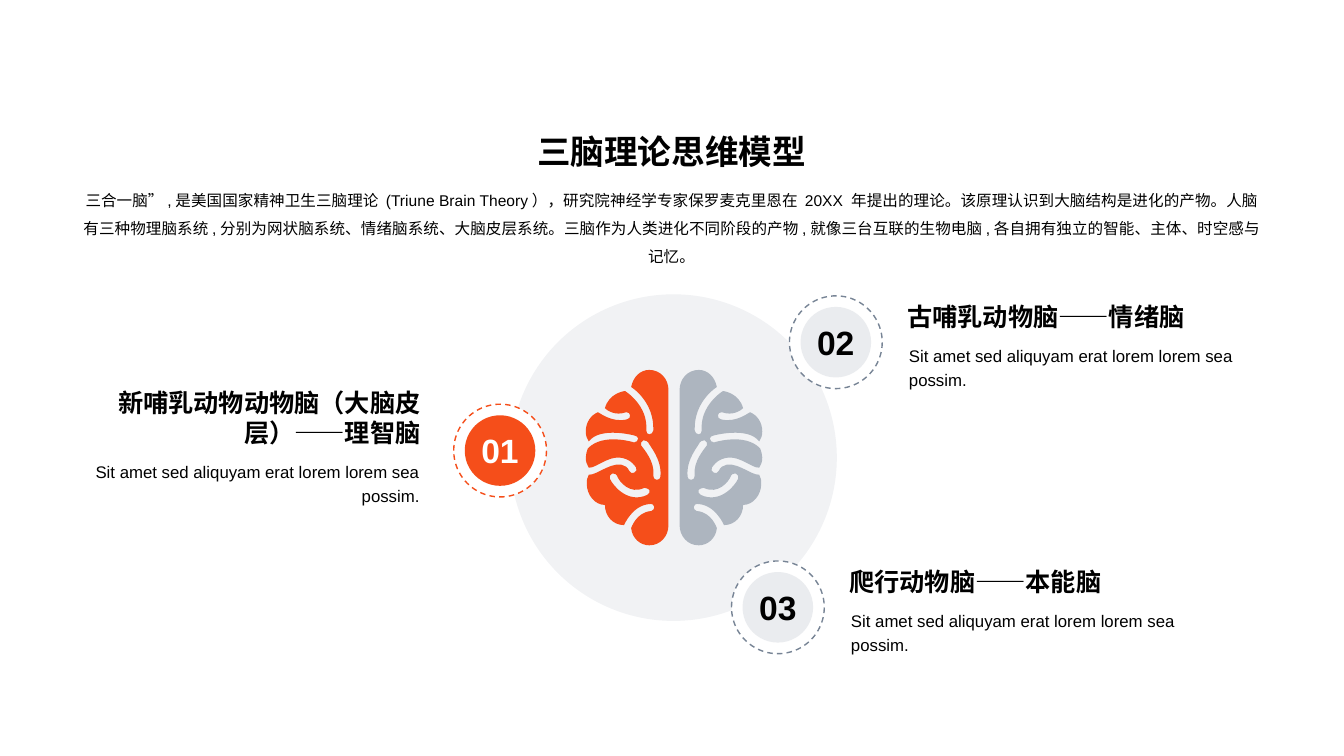
"""Builds the slide on the triune brain model: a split brain with three numbered topics."""
import lxml.etree
import pptx
import pptx.dml.color
import pptx.enum.dml
import pptx.enum.lang
import pptx.enum.shapes
import pptx.enum.text
import pptx.oxml.ns
import pptx.util
from dataclasses import dataclass

Align = pptx.enum.text.PP_ALIGN
Anchor = pptx.enum.text.MSO_ANCHOR


@dataclass(frozen=True)
class Theme:
    font: str = "Arial"
    ink: str = "000000"
    paper: str = "FFFFFF"
    accent: str = "F54E1A"
    slate: str = "778495"
    quiet_half: str = "ADB5BF"
    title: float = 24
    number: float = 24
    heading: float = 18
    detail: float = 12
    intro: float = 11.1


theme = Theme()
deck = pptx.Presentation()
deck.slide_width = pptx.util.Inches(13.33)
deck.slide_height = pptx.util.Inches(7.5)
cell = deck.slide_height / 75
slide = deck.slides.add_slide(deck.slide_layouts[1])


def write(holder, text, size, color, align, anchor, bold=False, leading=1.0, wrap=True):
    frame = holder.text_frame
    frame.word_wrap = wrap
    frame.auto_size = pptx.enum.text.MSO_AUTO_SIZE.NONE
    frame.vertical_anchor = anchor
    paragraph = frame.paragraphs[0]
    paragraph.alignment = align
    paragraph.line_spacing = leading
    paragraph.space_before = pptx.util.Pt(0)
    run = paragraph.add_run()
    run.text = text
    run.font.size = pptx.util.Pt(size)
    run.font.bold = bold
    run.font.name = theme.font
    run.font.language_id = pptx.enum.lang.MSO_LANGUAGE_ID.SIMPLIFIED_CHINESE
    run.font.color.rgb = pptx.dml.color.RGBColor.from_string(color)
    return paragraph


def disc(left, top, size, color, opacity=100, outline=None):
    circle = slide.shapes.add_shape(
        pptx.enum.shapes.MSO_SHAPE.OVAL,
        *(round(length * cell) for length in (left, top, size, size)))
    circle.shadow.inherit = False
    circle.fill.solid()
    circle.fill.fore_color.rgb = pptx.dml.color.RGBColor.from_string(color)
    if opacity < 100:
        tint = circle._element.spPr.find(".//" + pptx.oxml.ns.qn("a:srgbClr"))
        lxml.etree.SubElement(tint, pptx.oxml.ns.qn("a:alpha")).set("val", str(opacity * 1000))
    if outline:
        circle.line.color.rgb = pptx.dml.color.RGBColor.from_string(outline)
        circle.line.width = pptx.util.Pt(1)
        circle.line.dash_style = pptx.enum.dml.MSO_LINE.DASH
    else:
        circle.line.fill.background()
    return circle


title, intro = slide.shapes.title, slide.placeholders[1]
for holder, top, height in ((title, 11.75, 5.7), (intro, 17.5, 7.9)):
    holder.left, holder.width = round(7.2 * cell), round(118.8 * cell)
    holder.top, holder.height = round(top * cell), round(height * cell)
write(title, "三脑理论思维模型", theme.title, theme.ink, Align.CENTER, Anchor.BOTTOM, bold=True)
intro_paragraph = write(
    intro,
    "三合一脑”,是美国国家精神卫生三脑理论 (Triune Brain Theory），研究院神经学专家保罗麦克里恩在 20XX 年提出的理论。"
    "该原理认识到大脑结构是进化的产物。人脑有三种物理脑系统,分别为网状脑系统、情绪脑系统、大脑皮层系统。"
    "三脑作为人类进化不同阶段的产物,就像三台互联的生物电脑,各自拥有独立的智能、主体、时空感与记忆。",
    theme.intro, theme.ink, Align.CENTER, Anchor.TOP, leading=1.5)
intro_properties = intro_paragraph._p.get_or_add_pPr()
intro_properties.set("marL", "0")
intro_properties.set("indent", "0")
lxml.etree.SubElement(intro_properties, pptx.oxml.ns.qn("a:buNone"))

disc(50.6, 29.2, 32.4, theme.slate, opacity=10)

lobe = [
    (63, 0), (74, 0), (82, 9), (82, 20), (82, 20), (82, 154), (82, 154),
    (82, 165), (74, 174), (63, 174), (54, 174), (46, 167), (45, 157),
    (45, 157), (50, 141), (65, 140), (67, 140), (68, 137), (68, 136),
    (68, 134), (65, 132), (64, 133), (46, 134), (38, 154), (38, 154),
    (27, 154), (19, 145), (19, 134), (9, 134), (1, 124), (1, 113),
    (1, 110), (1, 107), (3, 104), (11, 105), (28, 88), (40, 96),
    (41, 97), (43, 99), (43, 100), (44, 102), (46, 103), (48, 102),
    (50, 101), (51, 99), (50, 97), (48, 94), (45, 91), (43, 90),
    (26, 80), (11, 98), (3, 97), (1, 94), (0, 91), (0, 87),
    (0, 84), (1, 81), (2, 78), (17, 62), (48, 72), (48, 72),
    (50, 72), (52, 70), (52, 68), (52, 67), (50, 65), (48, 65),
    (48, 65), (14, 56), (3, 71), (1, 68), (0, 65), (0, 61),
    (0, 52), (5, 45), (12, 42), (13, 42), (26, 53), (41, 49),
    (43, 49), (44, 47), (44, 45), (44, 43), (42, 42), (40, 42),
    (29, 46), (21, 40), (19, 38), (23, 23), (38, 21), (39, 21),
    (39, 21), (62, 35), (60, 60), (60, 62), (61, 64), (63, 64),
    (65, 64), (67, 62), (67, 60), (68, 31), (45, 17), (45, 17),
    (47, 7), (54, 0), (63, 0),
]
lower_groove = [
    (28, 103), (27, 103), (27, 103), (26, 103), (24, 104), (23, 106), (24, 108),
    (27, 115), (42, 133), (61, 124), (63, 123), (64, 121), (63, 119),
    (62, 118), (60, 117), (58, 117), (44, 124), (33, 111), (31, 105),
    (30, 104), (30, 103), (28, 103),
]
inner_groove = [
    (58, 70), (58, 70), (57, 70), (57, 70), (55, 71), (54, 73), (55, 75),
    (57, 78), (69, 91), (67, 105), (67, 107), (68, 109), (70, 109),
    (70, 109), (74, 109), (74, 106), (76, 89), (63, 75), (62, 72),
    (61, 71), (60, 70), (58, 70),
]
for edge, direction, half_color in ((58.1, 1, theme.accent), (75.6, -1, theme.quiet_half)):
    half = None
    for contour in (lower_groove, inner_groove, lobe):
        start, *controls = [((edge + direction * x / 10) * cell, (36.7 + y / 10) * cell) for x, y in contour]
        if half is None:
            half = slide.shapes.build_freeform(*start, scale=1.0)
        else:
            half.move_to(*start)
        half.add_line_segments(controls, close=True)
    hemisphere = half.convert_to_shape()
    segments = list(hemisphere._element.iter(pptx.oxml.ns.qn("a:lnTo")))
    for first in range(0, len(segments), 3):
        curve = lxml.etree.Element(pptx.oxml.ns.qn("a:cubicBezTo"))
        segments[first].addprevious(curve)
        for segment in segments[first:first + 3]:
            curve.append(segment[0])
            segment.getparent().remove(segment)
    hemisphere.shadow.inherit = False
    hemisphere.fill.solid()
    hemisphere.fill.fore_color.rgb = pptx.dml.color.RGBColor.from_string(half_color)
    hemisphere.line.fill.background()

topics = (
    ("02", 78.3, 29.35, "古哺乳动物脑——情绪脑", False),
    ("03", 72.55, 55.65, "爬行动物脑——本能脑", False),
    ("01", 45, 40.1, "新哺乳动物动物脑（大脑皮层）——理智脑", True),
)
ring, core = 9.2, 7
for number, left, top, heading, leading_topic in topics:
    ring_color = theme.accent if leading_topic else theme.slate
    disc(left, top, ring, theme.paper, outline=ring_color)
    inset = (ring - core) / 2
    badge = disc(left + inset, top + inset, core, ring_color, opacity=100 if leading_topic else 15)
    write(badge, number, theme.number, theme.paper if leading_topic else theme.ink,
          Align.CENTER, Anchor.MIDDLE, bold=True, wrap=False)
    align = Align.RIGHT if leading_topic else Align.LEFT
    heading_left, heading_width = (7.2, 35.5) if leading_topic else (left + 10.7, 35)
    detail_left, detail_width = (7.7, 34.9) if leading_topic else (left + 10.87, 35)
    split = top + (4.8 if leading_topic else 4.05)
    heading_height = 8.3 if leading_topic else 6.5
    heading_box = slide.shapes.add_textbox(*(round(length * cell) for length in (
        heading_left, split - heading_height, heading_width, heading_height)))
    write(heading_box, heading, theme.heading, theme.ink, align, Anchor.BOTTOM, bold=True)
    detail_box = slide.shapes.add_textbox(*(round(length * cell) for length in (
        detail_left, split, detail_width, 6)))
    write(detail_box, "Sit amet sed aliquyam erat lorem lorem sea possim.",
          theme.detail, theme.ink, align, Anchor.TOP, leading=1.2)

deck.save("out.pptx")
